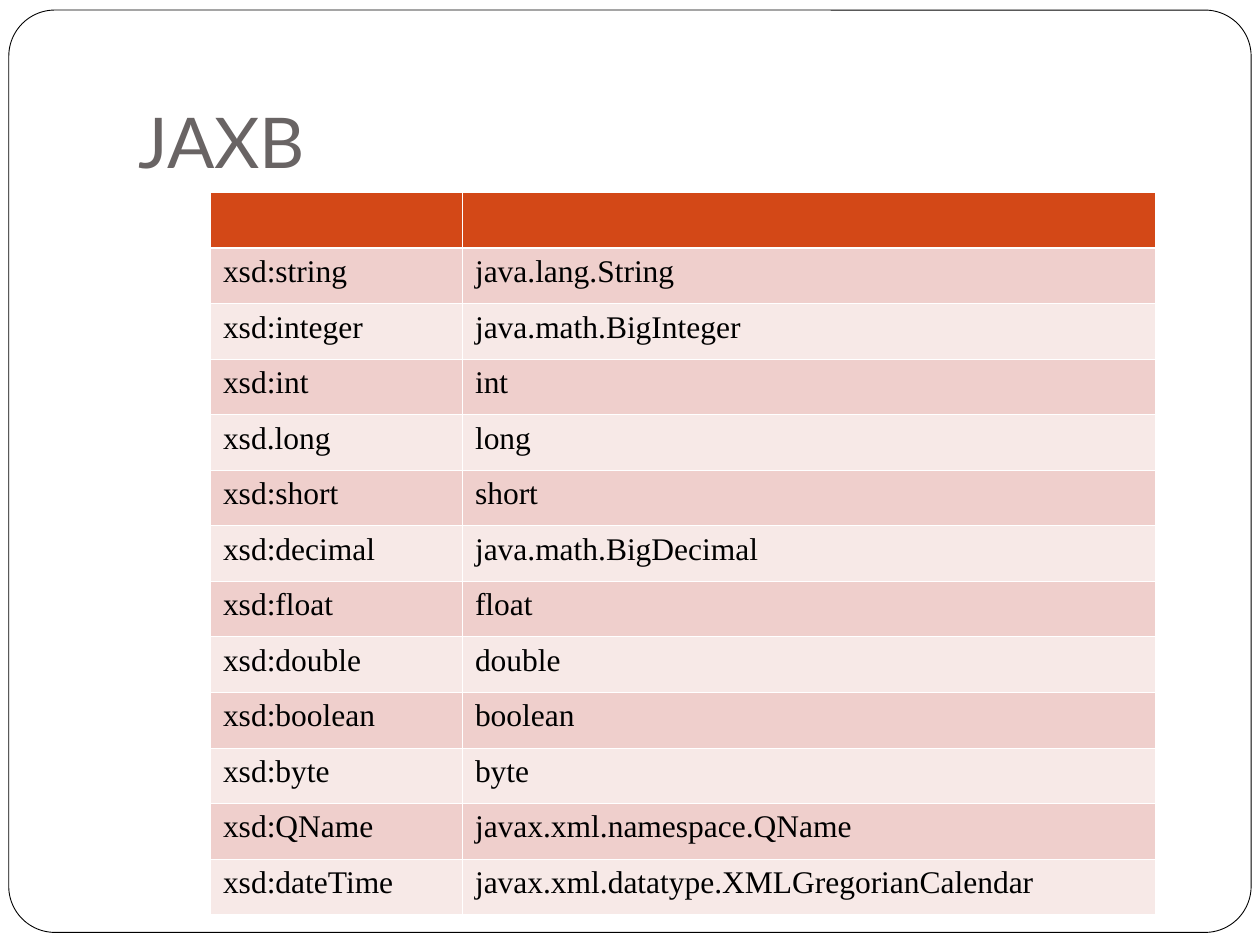
from lxml.etree import SubElement
from pptx import Presentation
from pptx.dml.color import RGBColor
from pptx.enum.shapes import MSO_SHAPE
from pptx.enum.text import MSO_ANCHOR
from pptx.oxml.ns import qn
from pptx.util import Inches, Pt

COLORS = {
    "paper": "FFFFFF",
    "frame": "000000",
    "title": "696464",
    "text": "000000",
    "head": "D34817",
    "odd": "EFCFCC",
    "even": "F7E9E7",
    "rule": "FFFFFF",
}

TYPES = [
    ("", ""),
    ("xsd:string", "java.lang.String"),
    ("xsd:integer", "java.math.BigInteger"),
    ("xsd:int", "int"),
    ("xsd.long", "long"),
    ("xsd:short", "short"),
    ("xsd:decimal", "java.math.BigDecimal"),
    ("xsd:float", "float"),
    ("xsd:double", "double"),
    ("xsd:boolean", "boolean"),
    ("xsd:byte", "byte"),
    ("xsd:QName", "javax.xml.namespace.QName"),
    ("xsd:dateTime", "javax.xml.datatype.XMLGregorianCalendar"),
]


def color(name):
    return RGBColor.from_string(COLORS[name])


def style(frame, font, size, name):
    for para in frame.paragraphs:
        for run in para.runs:
            run.font.name = font
            run.font.size = Pt(size)
            run.font.color.rgb = color(name)


def add_frame(slide, box):
    frame = slide.shapes.add_shape(MSO_SHAPE.ROUNDED_RECTANGLE, *map(Inches, box))
    frame.adjustments[0] = 0.05
    frame.shadow.inherit = False
    frame.fill.solid()
    frame.fill.fore_color.rgb = color("paper")
    frame.line.color.rgb = color("frame")
    frame.line.width = Pt(0.5)


def add_title(slide, box, text):
    frame = slide.shapes.add_textbox(*map(Inches, box)).text_frame
    frame.word_wrap = True
    frame.vertical_anchor = MSO_ANCHOR.BOTTOM
    frame.margin_bottom = Inches(0.1)
    frame.text = text
    style(frame, "Lato", 40, "title")


def set_edge(cell, side, width):
    props = cell._tc.get_or_add_tcPr()
    edge = SubElement(props, qn(f"a:{side}"), w=str(Pt(width)))
    fill = SubElement(edge, qn("a:solidFill"))
    SubElement(fill, qn("a:srgbClr"), val=COLORS["rule"])


def add_types(slide, box, rows, share):
    left, top, width, height = box
    table = slide.shapes.add_table(len(rows), len(share), *map(Inches, box)).table
    for column, part in zip(table.columns, share):
        column.width = Inches(width * part / sum(share))
    for index, row in enumerate(rows):
        table.rows[index].height = Inches(height / len(rows))
        band = "head" if index == 0 else "odd" if index % 2 else "even"
        for cell, text in zip(table.rows[index].cells, row):
            thick = {0: "lnB", 1: "lnT"}.get(index)
            for side in ("lnL", "lnR", "lnT", "lnB"):
                set_edge(cell, side, 1.47 if side == thick else 0.45)
            cell.fill.solid()
            cell.fill.fore_color.rgb = color(band)
            cell.text_frame.text = text
            style(cell.text_frame, "Times New Roman", 18, "text")


def main():
    deck = Presentation()
    deck.slide_width, deck.slide_height = Inches(10), Inches(7.5)
    slide = deck.slides.add_slide(deck.slide_layouts[6])
    add_frame(slide, (0.07, 0.08, 9.86, 7.32))
    add_title(slide, (1, 0.3, 8.5, 1.25), "JAXB")
    add_types(slide, (1.67, 1.53, 7.5, 5.73), TYPES, (2, 5.5))
    deck.save("out.pptx")


if __name__ == "__main__":
    main()
